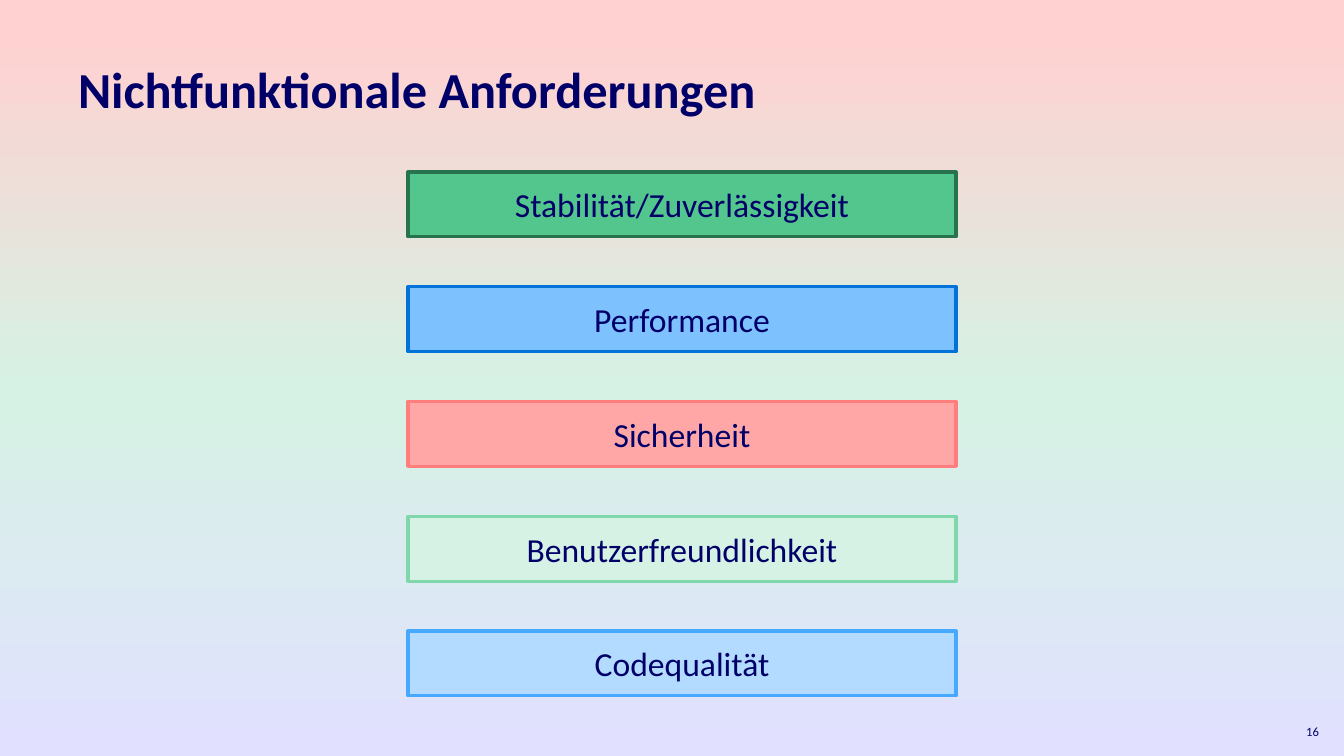
import copy

import pptx
import pptx.dml.color
import pptx.enum.shapes
import pptx.enum.text
import pptx.oxml.ns
import pptx.util

TITLE = "Nichtfunktionale Anforderungen"
REQUIREMENTS = [
    ("Stabilität/Zuverlässigkeit", "green"),
    ("Performance", "blue"),
    ("Sicherheit", "red"),
    ("Benutzerfreundlichkeit", "mint"),
    ("Codequalität", "sky"),
]
PAGE_NUMBER = "16"
COLORS = {
    "text": "000068",
    "green": "52C68C", "green_line": "26734D",
    "blue": "7DC1FF", "blue_line": "0072D9",
    "red": "FFA7A7", "red_line": "FF7D7D",
    "mint": "D6F2E4", "mint_line": "7FD7AB",
    "sky": "B3DBFF", "sky_line": "46A8FF",
    "bg_top": "FFD1D1", "bg_middle": "D6F2E4", "bg_bottom": "E1E1FF",
}
BACKGROUND = [(0.04, "bg_top"), (0.52, "bg_middle"), (1.0, "bg_bottom")]
SLIDE_SIZE = (1344, 756)
TITLE_BOX = (68, 60, 1174, 125)
NUMBER_BOX = (1282, 712, 47, 40)
BAR_LEFT, BAR_WIDTH, BAR_HEIGHT = 408, 548, 65
FIRST_TOP, LAST_TOP = 172, 631
EMU_PER_PX = 914400 / 100.8

ALIGN = pptx.enum.text.PP_ALIGN
ANCHOR = pptx.enum.text.MSO_ANCHOR


def emu(px):
    return round(px * EMU_PER_PX)


def rgb(name):
    return pptx.dml.color.RGBColor.from_string(COLORS[name])


def write(sp, text, size, align, anchor, bold=False, spacing=1.0):
    tf = sp.text_frame
    frame_format = {"word_wrap": True, "vertical_anchor": anchor,
                    "auto_size": pptx.enum.text.MSO_AUTO_SIZE.NONE}
    for name, value in frame_format.items():
        setattr(tf, name, value)
    p = tf.paragraphs[0]
    p.alignment = align
    p.line_spacing = spacing
    r = p.add_run()
    r.text = text
    font_format = {"name": "Calibri", "size": pptx.util.Pt(size), "bold": bold}
    for name, value in font_format.items():
        setattr(r.font, name, value)
    r.font.color.rgb = rgb("text")


def paint_background(s):
    fill = s.background.fill
    fill.gradient()
    fill.gradient_angle = 270
    stop_list = next(s.element.iter(pptx.oxml.ns.qn("a:gsLst")))
    stop_list.append(copy.deepcopy(stop_list[-1]))
    for stop, (position, name) in zip(fill.gradient_stops, BACKGROUND):
        stop.position = position
        stop.color.rgb = rgb(name)


def main():
    prs = pptx.Presentation()
    prs.slide_width, prs.slide_height = map(emu, SLIDE_SIZE)
    s = prs.slides.add_slide(prs.slide_layouts[5])
    paint_background(s)

    title = s.shapes.title
    for name, px in zip(("left", "top", "width", "height"), TITLE_BOX):
        setattr(title, name, emu(px))
    write(title, TITLE, 36, ALIGN.LEFT, ANCHOR.TOP, bold=True, spacing=0.9)

    step = (LAST_TOP - FIRST_TOP) / (len(REQUIREMENTS) - 1)
    for i, (text, color) in enumerate(REQUIREMENTS):
        box = (BAR_LEFT, FIRST_TOP + i * step, BAR_WIDTH, BAR_HEIGHT)
        sp = s.shapes.add_shape(
            pptx.enum.shapes.MSO_SHAPE.RECTANGLE, *map(emu, box))
        sp.shadow.inherit = False
        sp.fill.solid()
        sp.fill.fore_color.rgb = rgb(color)
        sp.line.color.rgb = rgb(color + "_line")
        sp.line.width = pptx.util.Pt(2.25)
        write(sp, text, 24, ALIGN.CENTER, ANCHOR.MIDDLE)

    number = s.shapes.add_textbox(*map(emu, NUMBER_BOX))
    write(number, PAGE_NUMBER, 9, ALIGN.RIGHT, ANCHOR.MIDDLE)
    prs.save("out.pptx")


if __name__ == "__main__":
    main()
